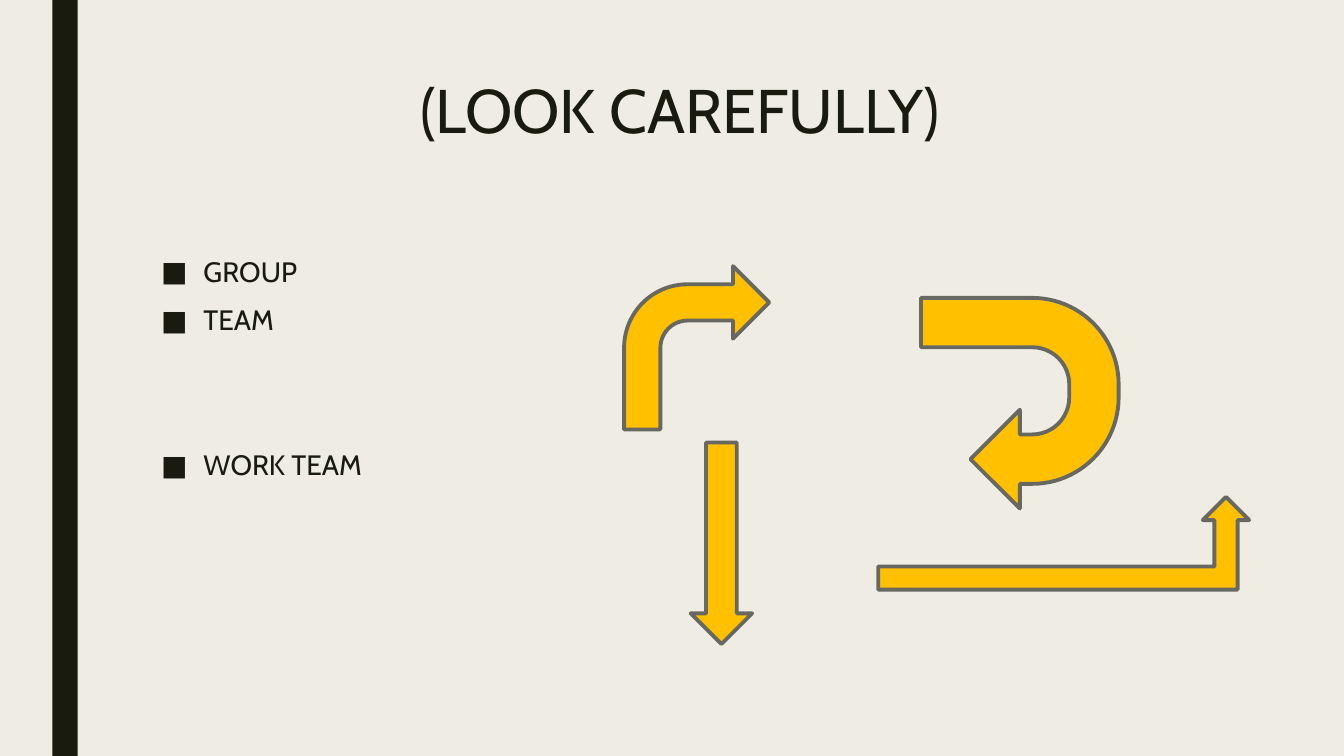
from dataclasses import dataclass

from lxml import etree
from pptx import Presentation
from pptx.dml.color import RGBColor
from pptx.enum.shapes import MSO_SHAPE
from pptx.enum.text import MSO_ANCHOR, MSO_AUTO_SIZE, PP_ALIGN
from pptx.oxml.ns import qn
from pptx.util import Inches, Pt

RECT, BENT, UTURN = MSO_SHAPE.RECTANGLE, MSO_SHAPE.BENT_ARROW, MSO_SHAPE.U_TURN_ARROW
BENT_UP, DOWN = MSO_SHAPE.BENT_UP_ARROW, MSO_SHAPE.DOWN_ARROW
TOP, CENTER, LEFT = MSO_ANCHOR.TOP, PP_ALIGN.CENTER, PP_ALIGN.LEFT
NO_FIT = MSO_AUTO_SIZE.NONE
TITLE_ONLY = 5


@dataclass(frozen=True)
class Theme:
    """Colours, font and type sizes of the slide."""
    paper: RGBColor = RGBColor.from_string("EFEDE3")
    ink: RGBColor = RGBColor.from_string("191B0E")
    gold: RGBColor = RGBColor.from_string("FFC000")
    outline: RGBColor = RGBColor.from_string("686863")
    font: str = "Cabin"
    title: Pt = Pt(44)
    body: Pt = Pt(20)
    stroke: Pt = Pt(2.75)


THEME = Theme()
WIDTH, HEIGHT = 13.33, 7.5
BAR_BOX = (0.52, 0, 0.25, HEIGHT)
TITLE_BOX = (1.5, 0.75, 10.5, 1.62)
LIST_BOX = (1.5, 2.5, 10.5, 3.92)
ARROWS_BOX = (6.19, 2.64, 6.2, 3.75)
HANG = Inches(0.42)
TERMS = (("GROUP", 0), ("TEAM", 10), ("WORK TEAM", 79))
ARROWS = (
    (BENT, (0, 0, 23.23, 43.2), 0),
    (UTURN, (46.45, 10.13, 33.71, 52.27), 90),
    (BENT_UP, (40.65, 61.07, 59.35, 24.53), 0),
    (DOWN, (10.65, 46.67, 9.84, 53.33), 0),
)


def apply(target, values):
    """Set each attribute named in values on the target."""
    for name, value in values.items():
        setattr(target, name, value)


def emu(box):
    """Convert a box in inches to lengths."""
    return [Inches(v) for v in box]


def style_text(p, size, layout):
    """Give a paragraph its layout, font, size and colour."""
    apply(p, layout)
    apply(p.font, {"name": THEME.font, "size": size})
    p.font.color.rgb = THEME.ink


def add_solid(slide, kind, box, fill):
    """Add a flat preset shape without a shadow."""
    sp = slide.shapes.add_shape(kind, *emu(box))
    sp.shadow.inherit = False
    sp.fill.solid()
    sp.fill.fore_color.rgb = fill
    return sp


def add_side_bar(slide, box):
    """Draw the dark vertical bar."""
    add_solid(slide, RECT, box, THEME.ink).line.fill.background()


def add_title(slide, box, text):
    """Place and format the title placeholder."""
    sp = slide.shapes.title
    apply(sp, dict(zip(("left", "top", "width", "height"), emu(box))))
    tf = sp.text_frame
    tf.text = text
    apply(tf, {"word_wrap": True, "vertical_anchor": TOP, "auto_size": NO_FIT})
    style_text(tf.paragraphs[0], THEME.title, {"alignment": CENTER, "line_spacing": 0.89})


def add_bullet(p):
    """Give a paragraph a hanging square bullet."""
    props = p._p.get_or_add_pPr()
    props.set("marL", str(HANG))
    props.set("indent", str(-HANG))
    etree.SubElement(props, qn("a:buFont"), typeface=THEME.font)
    etree.SubElement(props, qn("a:buChar"), char="■")


def add_terms(slide, box, terms):
    """Write the bulleted terms, each with its space before."""
    tf = slide.shapes.add_textbox(*emu(box)).text_frame
    apply(tf, {"word_wrap": True, "vertical_anchor": TOP})
    for i, (text, before) in enumerate(terms):
        p = tf.add_paragraph() if i else tf.paragraphs[0]
        p.text = text
        add_bullet(p)
        style_text(p, THEME.body, {
            "alignment": LEFT, "line_spacing": 0.94,
            "space_before": Pt(before), "space_after": Pt(2),
        })


def add_arrows(slide, box, arrows):
    """Draw the block arrows at percentages of the given box."""
    x, y, w, h = box
    for kind, shares, turn in arrows:
        left, top, wide, high = (share / 100 for share in shares)
        place = (x + left * w, y + top * h, wide * w, high * h)
        sp = add_solid(slide, kind, place, THEME.gold)
        sp.rotation = turn
        sp.line.color.rgb = THEME.outline
        sp.line.width = THEME.stroke


def main():
    """Build and save the slide."""
    prs = Presentation()
    apply(prs, {"slide_width": Inches(WIDTH), "slide_height": Inches(HEIGHT)})
    slide = prs.slides.add_slide(prs.slide_layouts[TITLE_ONLY])
    slide.background.fill.solid()
    slide.background.fill.fore_color.rgb = THEME.paper
    add_side_bar(slide, BAR_BOX)
    add_title(slide, TITLE_BOX, "(LOOK CAREFULLY)")
    add_terms(slide, LIST_BOX, TERMS)
    add_arrows(slide, ARROWS_BOX, ARROWS)
    prs.save("out.pptx")


if __name__ == "__main__":
    main()
